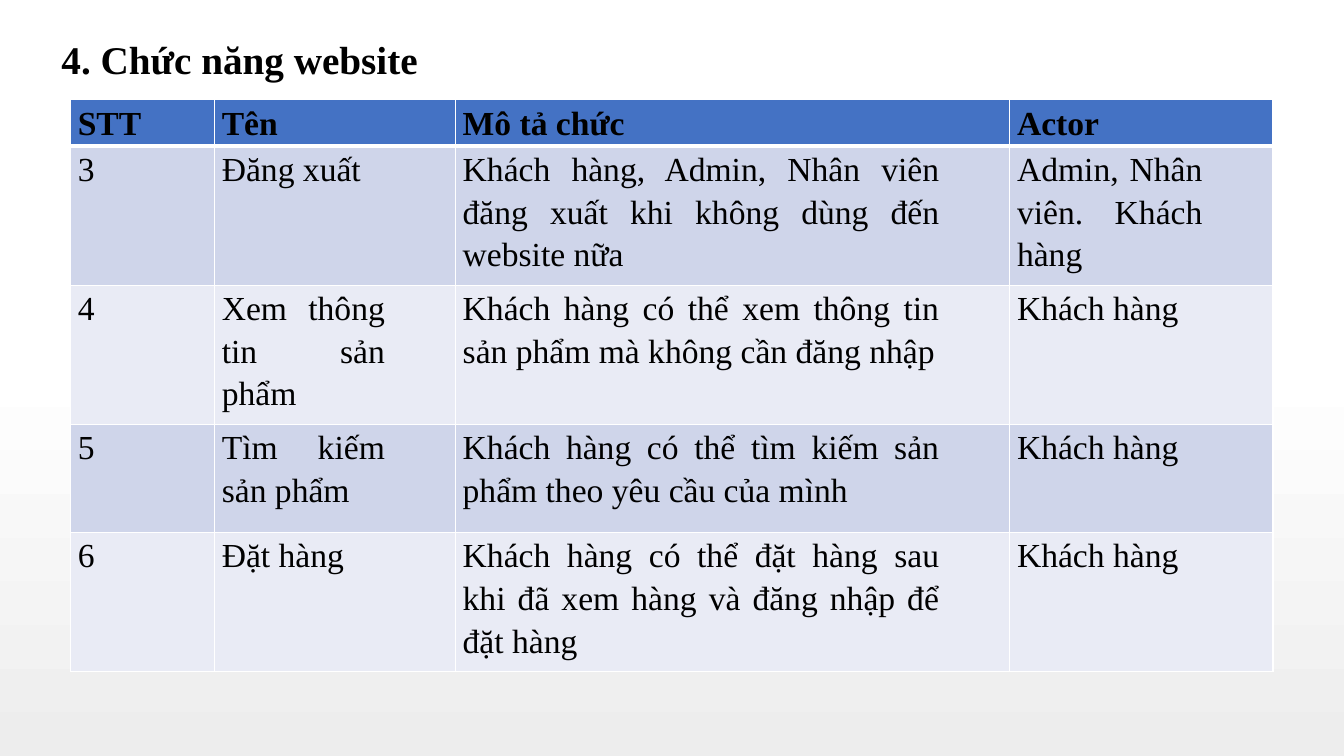
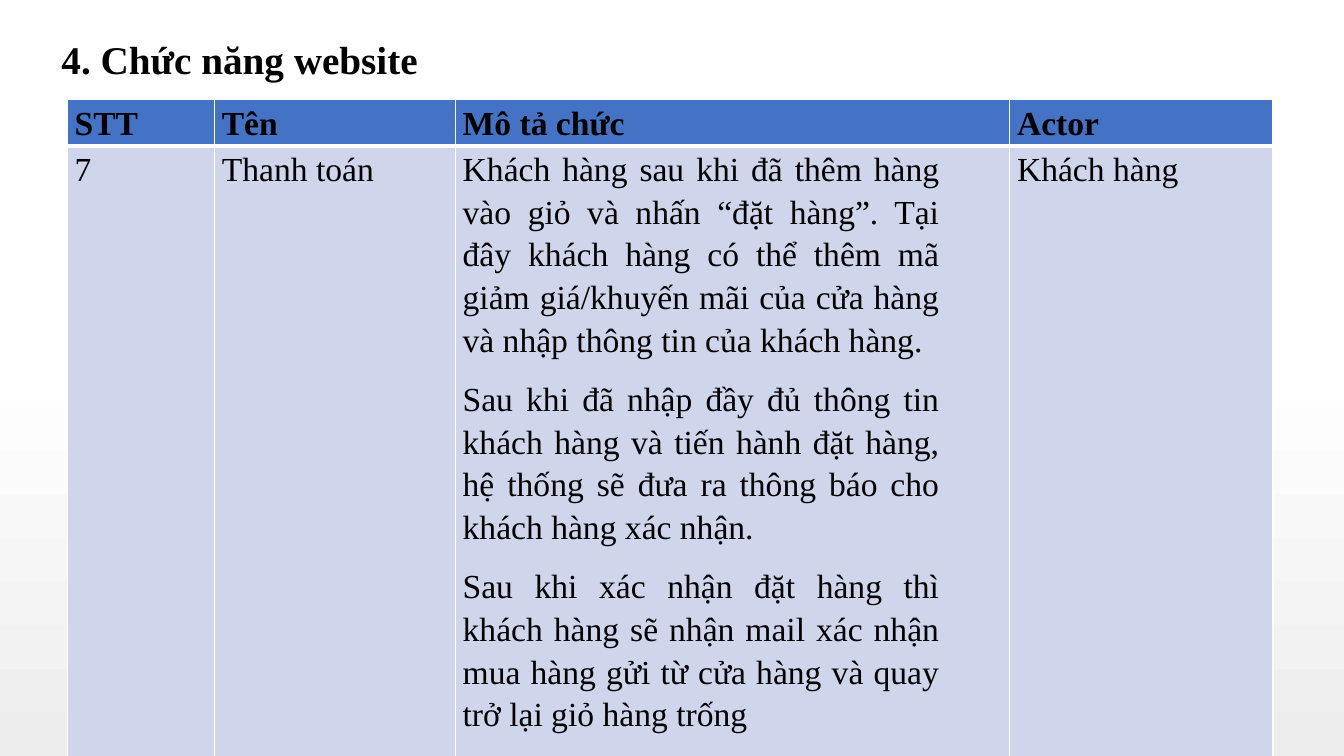
from pptx import Presentation
from pptx.dml.color import RGBColor
from pptx.enum.text import MSO_AUTO_SIZE as AutoSize, PP_ALIGN as Align
from pptx.oxml import parse_xml
from pptx.oxml.ns import nsdecls
from pptx.util import Cm, Pt

# Content
TITLE = "4. Chức năng website"
HEADER = ("STT", "Tên", "Mô tả chức", "Actor")
# Each row: height in cm, then its cells; a line break starts a new paragraph
PAGES = [
    {"left": 1.78, "rows": [
        (3.1, ("3", "Đăng xuất",
               "Khách hàng, Admin, Nhân viên đăng xuất khi không dùng đến website nữa",
               "Admin, Nhân viên. Khách hàng")),
        (3.33, ("4", "Xem thông tin sản phẩm",
                "Khách hàng có thể xem thông tin sản phẩm mà không cần đăng nhập",
                "Khách hàng")),
        (2.72, ("5", "Tìm kiếm sản phẩm",
                "Khách hàng có thể tìm kiếm sản phẩm theo yêu cầu của mình",
                "Khách hàng")),
        (3.33, ("6", "Đặt hàng",
                "Khách hàng có thể đặt hàng sau khi đã xem hàng và đăng nhập để đặt hàng",
                "Khách hàng")),
    ]},
    {"left": 1.7, "rows": [
        (16.1, ("7", "Thanh toán",
                "Khách hàng sau khi đã thêm hàng vào giỏ và nhấn “đặt hàng”. Tại đây "
                "khách hàng có thể thêm mã giảm giá/khuyến mãi của cửa hàng và nhập "
                "thông tin của khách hàng.\n"
                "Sau khi đã nhập đầy đủ thông tin khách hàng và tiến hành đặt hàng, "
                "hệ thống sẽ đưa ra thông báo cho khách hàng xác nhận.\n"
                "Sau khi xác nhận đặt hàng thì khách hàng sẽ nhận mail xác nhận mua "
                "hàng gửi từ cửa hàng và quay trở lại giỏ hàng trống",
                "Khách hàng")),
    ]},
]

# Shared style
COLORS = {"text": "000000", "header": "4472C4", "odd": "CFD5EA", "even": "E9EBF5",
          "border": "FFFFFF", "back_top": "FFFFFF", "back_bottom": "EDEDED"}
FONT = "Times New Roman"
TABLE_TOP, HEADER_HEIGHT = 2.51, 0.99
FIRST_COLUMN_END = 5.41
OTHER_WIDTHS = (6.07, 13.97, 6.63)
CELL_INSET, RIGHT_INDENT = 0.18, 1.6


def color(name):
    return RGBColor.from_string(COLORS[name])


def write_text(frame, text, size, bold=False, align=None, line_spacing=None,
               before=None, after=None, right_indent=None):
    frame.word_wrap = True
    for index, line in enumerate(text.split("\n")):
        paragraph = frame.add_paragraph() if index else frame.paragraphs[0]
        paragraph.alignment = align
        paragraph.line_spacing = line_spacing
        paragraph.space_before = before
        paragraph.space_after = after
        if right_indent is not None:
            paragraph._p.get_or_add_pPr().set("marR", str(right_indent))
        run = paragraph.add_run()
        run.text = line
        run.font.name, run.font.size, run.font.bold = FONT, Pt(size), bold
        run.font.color.rgb = color("text")


def set_borders(cell, bottom_width):
    properties = cell._tc.get_or_add_tcPr()
    widths = {"lnL": 1, "lnR": 1, "lnT": 1, "lnB": bottom_width}
    for index, (tag, width) in enumerate(widths.items()):
        properties.insert(index, parse_xml(
            f'<a:{tag} {nsdecls("a")} w="{Pt(width)}"><a:solidFill>'
            f'<a:srgbClr val="{COLORS["border"]}"/></a:solidFill></a:{tag}>'))


def format_cell(cell, text, fill, is_header):
    cell.margin_left = cell.margin_right = Cm(CELL_INSET)
    cell.margin_top = cell.margin_bottom = 0
    cell.fill.solid()
    cell.fill.fore_color.rgb = color(fill)
    set_borders(cell, bottom_width=3 if is_header else 1)
    write_text(cell.text_frame, text, 24, bold=is_header, align=Align.JUSTIFY,
               line_spacing=1.15, before=Pt(1.8), after=Pt(10),
               right_indent=Cm(RIGHT_INDENT))


def set_background(master):
    fill = master.background.fill
    fill.gradient()
    fill.gradient_angle = 270
    stops = zip(fill.gradient_stops, (0.48, 1), ("back_top", "back_bottom"))
    for stop, position, name in stops:
        stop.position = position
        stop.color.rgb = color(name)


def add_title(slide):
    box = slide.shapes.add_textbox(Cm(1.3), Cm(0.76), Cm(24.74), Cm(1.45))
    write_text(box.text_frame, TITLE, 28, bold=True)
    box.text_frame.auto_size = AutoSize.SHAPE_TO_FIT_TEXT


def add_function_table(slide, left, rows):
    rows = [(HEADER_HEIGHT, HEADER), *rows]
    widths = (FIRST_COLUMN_END - left, *OTHER_WIDTHS)
    height = sum(row_height for row_height, _ in rows)
    table = slide.shapes.add_table(len(rows), len(widths), Cm(left), Cm(TABLE_TOP),
                                   Cm(sum(widths)), Cm(height)).table
    for column, width in zip(table.columns, widths):
        column.width = Cm(width)
    for row_index, (row_height, texts) in enumerate(rows):
        table.rows[row_index].height = Cm(row_height)
        is_header = row_index == 0
        fill = "header" if is_header else "odd" if row_index % 2 else "even"
        for column_index, text in enumerate(texts):
            format_cell(table.cell(row_index, column_index), text, fill, is_header)


def main():
    presentation = Presentation()
    presentation.slide_width, presentation.slide_height = Cm(33.87), Cm(19.05)
    set_background(presentation.slide_master)
    for page in PAGES:
        slide = presentation.slides.add_slide(presentation.slide_layouts[6])
        add_title(slide)
        add_function_table(slide, page["left"], page["rows"])
    presentation.save("out.pptx")


if __name__ == "__main__":
    main()
